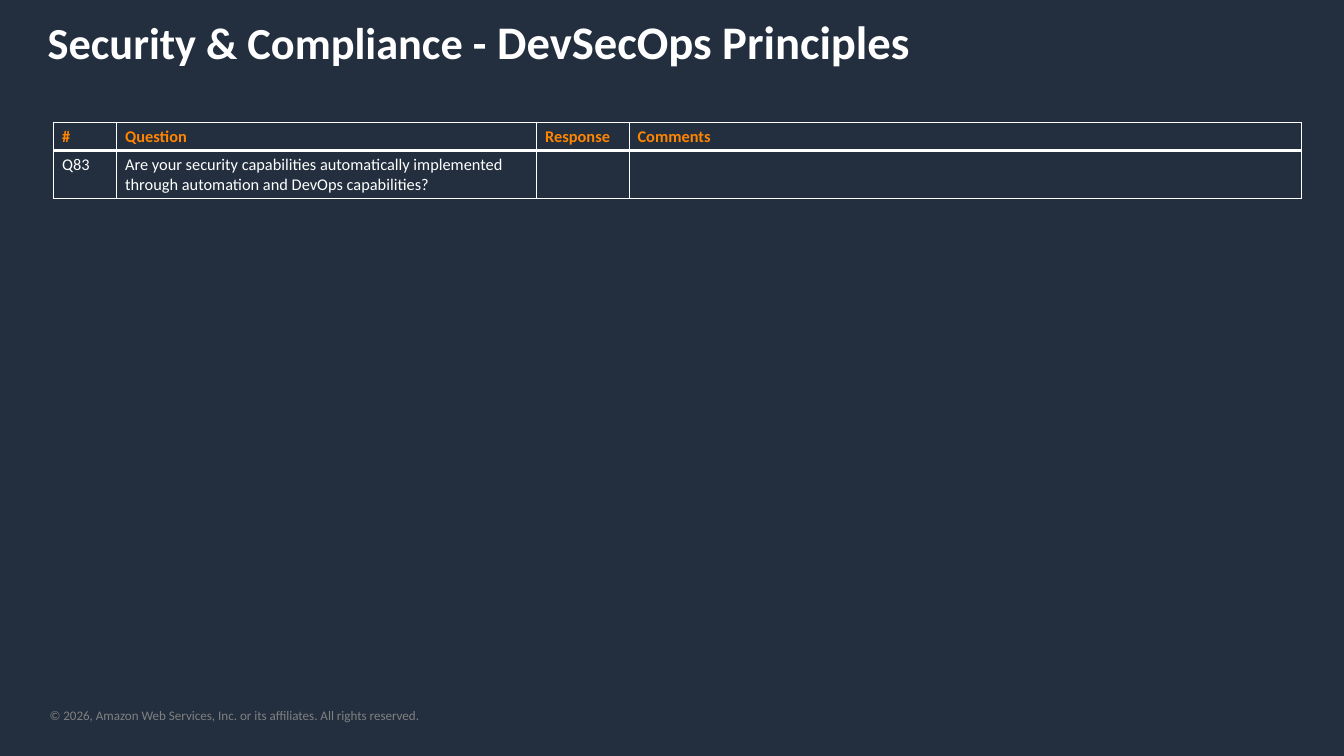
from dataclasses import dataclass

from lxml import etree
from pptx import Presentation
from pptx.dml.color import RGBColor
from pptx.oxml.ns import qn
from pptx.slide import Slide
from pptx.table import _Cell
from pptx.text.text import TextFrame, _Paragraph
from pptx.util import Inches, Pt

FONT = "Calibri"
NAVY, WHITE, ORANGE, GRAY = "232F3E", "FFFFFF", "FF8500", "808080"
THIN, THICK = 1, 3


@dataclass
class Column:
    heading: str
    width: float
    answer: str = ""


COLUMNS = [
    Column("#", 0.75, "Q83"),
    Column("Question", 5, "Are your security capabilities automatically implemented "
                          "through automation and DevOps capabilities?"),
    Column("Response", 1.1),
    Column("Comments", 8),
]


def rgb(color: str) -> RGBColor:
    return RGBColor.from_string(color)


def add_text(p: _Paragraph, text: str, *, size: float = 14, color: str = WHITE,
             bold: bool = False) -> None:
    r = p.add_run()
    r.text = text
    r.font.name = FONT
    r.font.size = Pt(size)
    r.font.bold = bold
    r.font.color.rgb = rgb(color)


def add_box(s: Slide, left: float, top: float, width: float, height: float,
            inset: tuple[float, float] = (0.1, 0.05)) -> TextFrame:
    sp = s.shapes.add_textbox(Inches(left), Inches(top), Inches(width), Inches(height))
    tf = sp.text_frame
    tf.word_wrap = True
    tf.margin_left = tf.margin_right = Inches(inset[0])
    tf.margin_top = tf.margin_bottom = Inches(inset[1])
    return tf


def set_borders(cell: _Cell, top: float, bottom: float) -> None:
    tc_pr = cell._tc.get_or_add_tcPr()
    for side, width in (("L", THIN), ("R", THIN), ("T", top), ("B", bottom)):
        ln = etree.SubElement(tc_pr, qn(f"a:ln{side}"), w=str(Pt(width)))
        fill = etree.SubElement(ln, qn("a:solidFill"))
        etree.SubElement(fill, qn("a:srgbClr"), val=WHITE)


def fill_cell(cell: _Cell, text: str, top: float, bottom: float, *,
              color: str = WHITE, bold: bool = False) -> None:
    set_borders(cell, top, bottom)
    cell.fill.background()
    if text:
        add_text(cell.text_frame.paragraphs[0], text, color=color, bold=bold)


def add_questions(s: Slide) -> None:
    width = sum(column.width for column in COLUMNS)
    table = s.shapes.add_table(2, len(COLUMNS), Inches(0.64), Inches(1.46),
                               Inches(width), Inches(0.56)).table
    table.first_row = table.horz_banding = False
    for i, column in enumerate(COLUMNS):
        table.columns[i].width = Inches(column.width)
        fill_cell(table.cell(0, i), column.heading, THIN, THICK, color=ORANGE, bold=True)
        fill_cell(table.cell(1, i), column.answer, THICK, THIN)


def main() -> None:
    prs = Presentation()
    prs.slide_width, prs.slide_height = Inches(16), Inches(9)
    s = prs.slides.add_slide(prs.slide_layouts[6])
    s.background.fill.solid()
    s.background.fill.fore_color.rgb = rgb(NAVY)

    footer = add_box(s, 0.59, 8.42, 7.78, 0.19, inset=(0, 0))
    add_text(footer.paragraphs[0],
             "© 2026, Amazon Web Services, Inc. or its affiliates. All rights reserved.",
             size=11.2, color=GRAY)

    title = add_box(s, 0.47, 0.11, 15.26, 0.77).paragraphs[0]
    add_text(title, "Security & Compliance - ", size=38, bold=True)
    add_text(title, "DevSecOps Principles", size=40, bold=True)

    add_questions(s)
    prs.save("out.pptx")


if __name__ == "__main__":
    main()
